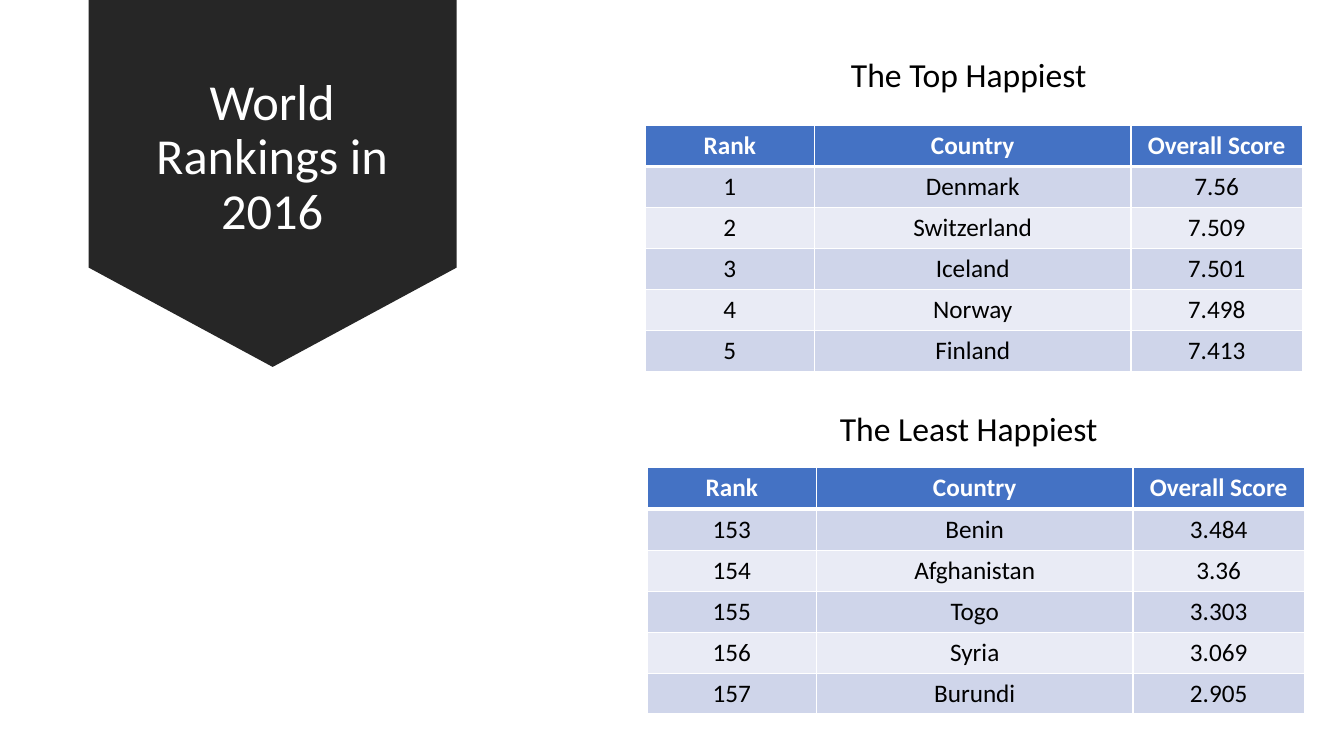
from dataclasses import dataclass

from pptx import Presentation, util as u
from pptx.dml.color import RGBColor
from pptx.enum import shapes, text
from pptx.oxml.ns import qn
from lxml import etree

WIDTH, HEIGHT = u.Inches(13.33), u.Inches(7.5)
FONT = "Calibri"
WHITE, BLACK, CHARCOAL, BLUE = "FFFFFF", "000000", "262626", "4472C4"
BANDS = ("CFD5EA", "E9EBF5")
HEADER = ("Rank", "Country", "Overall Score")
COLUMN_SHARES = (12.6, 23.55, 12.75)
HEADER_SHARE, ROW_SHARE = 5.5, 5.42


@dataclass(frozen=True)
class Box:
    left: float
    top: float
    width: float
    height: float

    def emu(self) -> tuple[int, int, int, int]:
        return across(self.left), down(self.top), across(self.width), down(self.height)


@dataclass(frozen=True)
class Ranking:
    caption: str
    caption_top: float
    left: float
    top: float
    rows: tuple[tuple[str, str, str], ...]


RANKINGS = (
    Ranking("The Top Happiest", 6.53, 48, 16.53, (
        ("1", "Denmark", "7.56"),
        ("2", "Switzerland", "7.509"),
        ("3", "Iceland", "7.501"),
        ("4", "Norway", "7.498"),
        ("5", "Finland", "7.413"),
    )),
    Ranking("The Least Happiest", 53.33, 48.15, 61.87, (
        ("153", "Benin", "3.484"),
        ("154", "Afghanistan", "3.36"),
        ("155", "Togo", "3.303"),
        ("156", "Syria", "3.069"),
        ("157", "Burundi", "2.905"),
    )),
)


def across(percent: float) -> int:
    return round(WIDTH * percent / 100)


def down(percent: float) -> int:
    return round(HEIGHT * percent / 100)


def rgb(value: str) -> RGBColor:
    return RGBColor.from_string(value)


def write(tf, content: str, size: int, color: str, bold: bool = False):
    p = tf.paragraphs[0]
    p.text = content
    p.alignment = text.PP_ALIGN.CENTER
    p.font.name = FONT
    p.font.size = u.Pt(size)
    p.font.bold = bold
    p.font.color.rgb = rgb(color)
    return p


def add_text(s, box: Box, content: str, size: int, color: str):
    tf = s.shapes.add_textbox(*box.emu()).text_frame
    tf.word_wrap = True
    return write(tf, content, size, color)


def add_border(cell, side: str, points: float) -> None:
    tc_pr = cell._tc.get_or_add_tcPr()
    line = etree.SubElement(tc_pr, qn(f"a:ln{side}"), w=str(u.Pt(points)))
    fill = etree.SubElement(line, qn("a:solidFill"))
    etree.SubElement(fill, qn("a:srgbClr"), val=WHITE)


def add_banner(s) -> None:
    sp = s.shapes.add_shape(shapes.MSO_SHAPE.DOWN_ARROW, *Box(6.6, -0.13, 27.38, 48.67).emu())
    sp.adjustments[0], sp.adjustments[1] = 1, 0.27
    sp.shadow.inherit = False
    sp.fill.solid()
    sp.fill.fore_color.rgb = rgb(CHARCOAL)
    sp.line.fill.background()
    p = add_text(s, Box(8.4, 2.8, 23.7, 36.27), "World Rankings in 2016", 36, WHITE)
    p.line_spacing = 0.9
    s.shapes[-1].text_frame.vertical_anchor = text.MSO_ANCHOR.MIDDLE


def add_ranking(s, ranking: Ranking) -> None:
    grid = (HEADER, *ranking.rows)
    box = Box(ranking.left, ranking.top, sum(COLUMN_SHARES),
              HEADER_SHARE + ROW_SHARE * len(ranking.rows))
    table = s.shapes.add_table(len(grid), len(HEADER), *box.emu()).table
    for column, share in zip(table.columns, COLUMN_SHARES):
        column.width = across(share)
    for i, values in enumerate(grid):
        is_header = i == 0
        table.rows[i].height = down(HEADER_SHARE if is_header else ROW_SHARE)
        for j, value in enumerate(values):
            cell = table.cell(i, j)
            add_border(cell, "L", 1)
            add_border(cell, "R", 1)
            add_border(cell, "T", 3 if i == 1 else 1)
            add_border(cell, "B", 3 if is_header else 1)
            cell.fill.solid()
            cell.fill.fore_color.rgb = rgb(BLUE if is_header else BANDS[(i - 1) % 2])
            write(cell.text_frame, value, 18, WHITE if is_header else BLACK, is_header)
    add_text(s, Box(60.83, ranking.caption_top, 22.5, 6.67), ranking.caption, 24, BLACK)


def main() -> None:
    prs = Presentation()
    prs.slide_width, prs.slide_height = WIDTH, HEIGHT
    s = prs.slides.add_slide(prs.slide_layouts[6])
    add_banner(s)
    for ranking in RANKINGS:
        add_ranking(s, ranking)
    prs.save("out.pptx")


if __name__ == "__main__":
    main()
